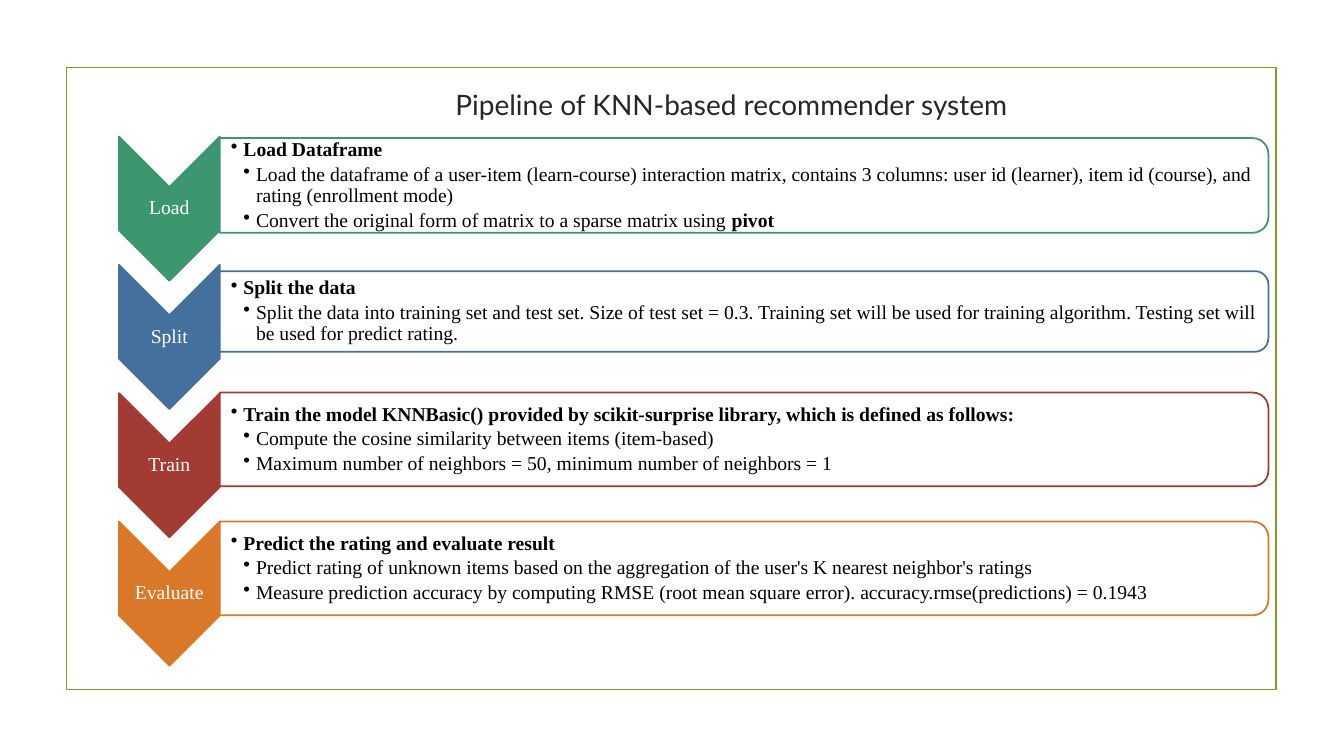
from dataclasses import dataclass

from lxml.etree import SubElement
from pptx import Presentation
from pptx.dml.color import RGBColor
from pptx.enum.shapes import MSO_SHAPE as Preset
from pptx.enum.text import MSO_ANCHOR as Anchor, PP_ALIGN as Align
from pptx.oxml.ns import qn
from pptx.shapes.autoshape import Shape
from pptx.slide import Slide
from pptx.text.text import TextFrame, _Paragraph as Paragraph
from pptx.util import Inches, Pt

COLORS = {
    "frame": "83992A", "title": "262626", "white": "FFFFFF", "black": "000000",
    "load": "3C9770", "split": "44709D", "train": "A23C33", "evaluate": "D97828",
}
STEP_FONT = "Times New Roman"
STEP_LEFT, STEP_WIDTH, STEP_LENGTH = 1.18, 1.0, 1.43
FIRST_STEP_MIDDLE, STEP_PITCH = 2.07, 1.273
PANEL_LEFT, PANEL_WIDTH = STEP_LEFT + STEP_WIDTH, 10.4
BULLET_INDENT = 0.125

FRAME_FORMAT = {"word_wrap": True, "vertical_anchor": Anchor.MIDDLE}
TITLE_MARGINS = {"margin_bottom": Inches(0.41)}
STEP_MARGINS = {
    f"margin_{side}": Inches(0.01) for side in ("left", "top", "right", "bottom")
}
PANEL_MARGINS = {**STEP_MARGINS, "margin_left": Inches(0.11)}
CENTERED = {"alignment": Align.CENTER, "line_spacing": 0.9}
BULLETED = {"alignment": Align.LEFT, "line_spacing": 0.9, "space_after": Pt(2.5)}


@dataclass(frozen=True)
class Step:
    label: str
    color: str
    panel_middle: float
    panel_height: float
    heading: str
    details: tuple[str, ...]
    bold_ending: str = ""


STEPS = (
    Step("Load", "load", 1.84, 0.94, "Load Dataframe", (
        "Load the dataframe of a user-item (learn-course) interaction matrix, "
        "contains 3 columns: user id (learner), item id (course), and rating (enrollment mode)",
        "Convert the original form of matrix to a sparse matrix using ",
    ), "pivot"),
    Step("Split", "split", 3.09, 0.8, "Split the data", (
        "Split the data into training set and test set. Size of test set = 0.3. "
        "Training set will be used for training algorithm. "
        "Testing set will be used for predict rating.",
    )),
    Step("Train", "train", 4.36, 0.93,
         "Train the model KNNBasic() provided by scikit-surprise library, "
         "which is defined as follows:", (
             "Compute the cosine similarity between items (item-based)",
             "Maximum number of neighbors = 50, minimum number of neighbors = 1",
         )),
    Step("Evaluate", "evaluate", 5.64, 0.93, "Predict the rating and evaluate result", (
        "Predict rating of unknown items based on the aggregation of "
        "the user's K nearest neighbor's ratings",
        "Measure prediction accuracy by computing RMSE (root mean square error). "
        "accuracy.rmse(predictions) = 0.1943",
    )),
)


def rgb(name: str) -> RGBColor:
    return RGBColor.from_string(COLORS[name])


def apply_format(target: object, values: dict) -> None:
    for attribute, value in values.items():
        setattr(target, attribute, value)


def add_outlined(slide: Slide, preset: Preset, left: float, top: float,
                 width: float, height: float, line: str) -> Shape:
    outline = slide.shapes.add_shape(
        preset, Inches(left), Inches(top), Inches(width), Inches(height))
    outline.shadow.inherit = False
    outline.line.color.rgb = rgb(line)
    outline.line.width = Pt(1.25)
    return outline


def add_turned(slide: Slide, preset: Preset, center: float, middle: float,
               length: float, breadth: float, fill: str, line: str) -> Shape:
    turned = add_outlined(slide, preset, center - length / 2, middle - breadth / 2,
                          length, breadth, line)
    turned.rotation = 90
    turned.fill.solid()
    turned.fill.fore_color.rgb = rgb(fill)
    return turned


def add_frame(slide: Slide, left: float, top: float, width: float, height: float,
              margins: dict) -> TextFrame:
    frame = slide.shapes.add_textbox(
        Inches(left), Inches(top), Inches(width), Inches(height)).text_frame
    apply_format(frame, {**FRAME_FORMAT, **margins})
    return frame


def add_words(paragraph: Paragraph, words: str, font: str, size: int, color: str,
              bold: bool = False) -> None:
    run = paragraph.add_run()
    run.text = words
    apply_format(run.font, {"name": font, "size": Pt(size), "bold": bold})
    run.font.color.rgb = rgb(color)


def add_centered(frame: TextFrame, words: str, font: str, size: int, color: str) -> None:
    paragraph = frame.paragraphs[0]
    apply_format(paragraph, CENTERED)
    add_words(paragraph, words, font, size, color)


def set_bullet(paragraph: Paragraph, level: int) -> None:
    apply_format(paragraph, {**BULLETED, "level": level})
    properties = paragraph._p.get_or_add_pPr()
    properties.set("marL", str(Inches(BULLET_INDENT * level)))
    properties.set("indent", str(-Inches(BULLET_INDENT)))
    SubElement(properties, qn("a:buChar")).set("char", "•")


def add_step(slide: Slide, step: Step, middle: float) -> None:
    add_turned(slide, Preset.CHEVRON, STEP_LEFT + STEP_WIDTH / 2, middle,
               STEP_LENGTH, STEP_WIDTH, step.color, step.color)
    label = add_frame(slide, STEP_LEFT, middle - 0.215, STEP_WIDTH, 0.43, STEP_MARGINS)
    add_centered(label, step.label, STEP_FONT, 14, "white")

    panel = add_turned(slide, Preset.ROUND_2_SAME_RECTANGLE, PANEL_LEFT + PANEL_WIDTH / 2,
                       step.panel_middle, step.panel_height, PANEL_WIDTH, "white", step.color)
    panel_color = panel.fill._xPr.find(qn("a:solidFill")).find(qn("a:srgbClr"))
    SubElement(panel_color, qn("a:alpha")).set("val", "90000")

    text_height = step.panel_height - 0.09
    body = add_frame(slide, PANEL_LEFT, step.panel_middle - text_height / 2,
                     PANEL_WIDTH - 0.04, text_height, PANEL_MARGINS)
    heading = body.paragraphs[0]
    set_bullet(heading, 1)
    add_words(heading, step.heading, STEP_FONT, 14, "black", bold=True)
    for words in step.details:
        detail = body.add_paragraph()
        set_bullet(detail, 2)
        add_words(detail, words, STEP_FONT, 14, "black")
    if step.bold_ending:
        add_words(detail, step.bold_ending, STEP_FONT, 14, "black", bold=True)


def main() -> None:
    deck = Presentation()
    apply_format(deck, {"slide_width": Inches(13.33), "slide_height": Inches(7.5)})
    slide = deck.slides.add_slide(deck.slide_layouts[6])

    border = add_outlined(slide, Preset.RECTANGLE, 0.66, 0.67, 12, 6.17, "frame")
    border.fill.background()
    title = add_frame(slide, 1.68, 0.64, 11.15, 1.2, TITLE_MARGINS)
    add_centered(title, "Pipeline of KNN-based recommender system", "Lato", 20, "title")

    for index, step in enumerate(STEPS):
        add_step(slide, step, FIRST_STEP_MIDDLE + index * STEP_PITCH)
    deck.save("out.pptx")


if __name__ == "__main__":
    main()
